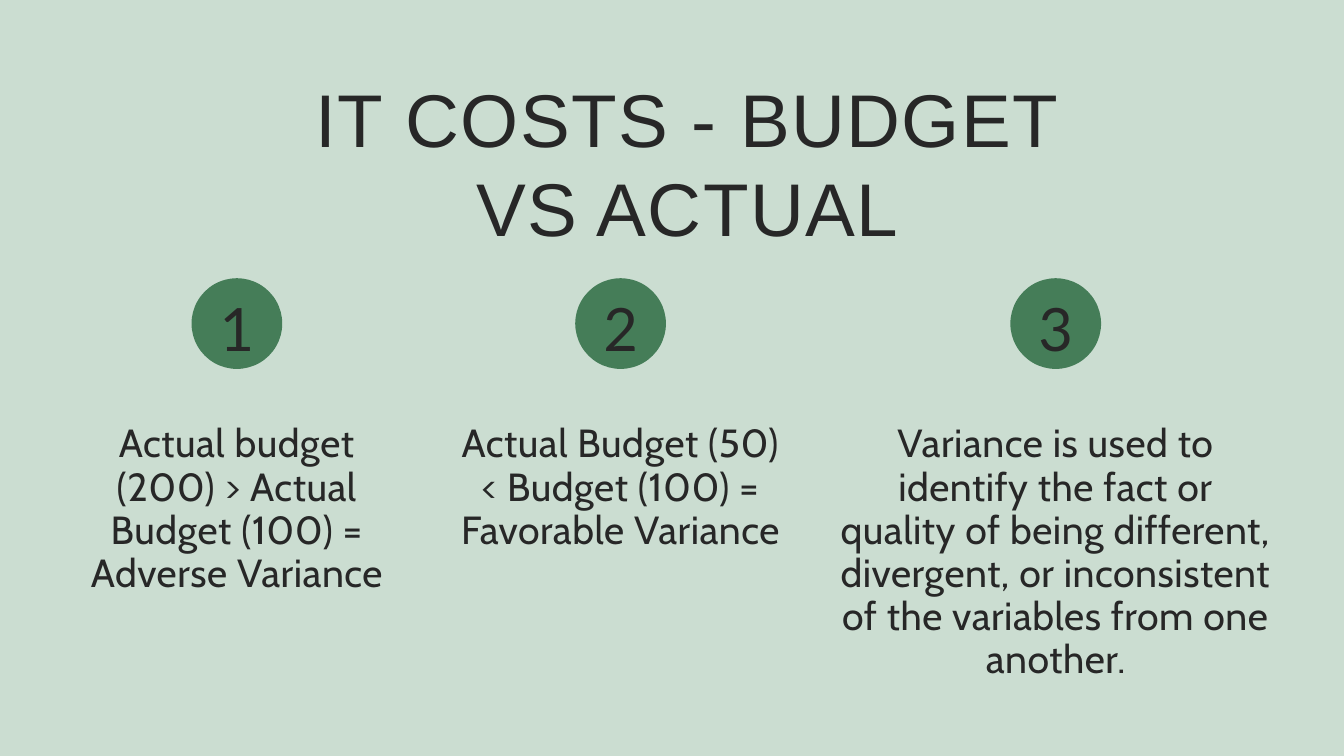
from dataclasses import dataclass
from pptx import Presentation
from pptx import util as u
from pptx.dml.color import RGBColor
from pptx.enum import shapes, text


@dataclass(frozen=True)
class Theme:
    back: str = "CBDDD1"
    badge: str = "457D58"
    ink: str = "272727"
    title = dict(name="Arial", size=80, leading=96, spacing=1.6)
    body = dict(name="Cabin", size=42, leading=46.2, spacing=0.6)
    number = dict(name="Lato", size=64, leading=100.5, spacing=1.3, level=1)


THEME = Theme()
WIDTH, HEIGHT = 20, 11.25
LEFT, GAP = 1.02, 0.7
NUMBER_TOP, BADGE_TOP, BODY_TOP = 4.02, 4.14, 6.29
BADGE = 1.35
COLUMNS = [
    (5.01, 2.56, "Actual budget (200) > Actual Budget (100) = Adverse Variance"),
    (5.01, 2.56, "Actual Budget (50) < Budget (100) = Favorable Variance"),
    (6.54, 4.46, "Variance is used to identify the fact or quality of being different, "
                 "divergent, or inconsistent of the variables from one another."),
]


def set_all(obj, values):
    for key, value in values.items():
        setattr(obj, key, value)


def inches(*lengths):
    return [u.Inches(n) for n in lengths]


def add_text(s, box, words, style):
    tf = s.shapes.add_textbox(*inches(*box)).text_frame
    set_all(tf, dict(margin_left=0, margin_top=0, margin_right=0, margin_bottom=0,
                     word_wrap=True, auto_size=text.MSO_AUTO_SIZE.SHAPE_TO_FIT_TEXT))
    p = tf.paragraphs[0]
    set_all(p, dict(alignment=text.PP_ALIGN.CENTER, level=style.get("level", 0),
                    line_spacing=u.Pt(style["leading"])))
    pPr = p._p.get_or_add_pPr()
    pPr.set("marL", "0")
    pPr.set("indent", "0")
    r = p.add_run()
    r.text = words
    set_all(r.font, dict(name=style["name"], size=u.Pt(style["size"])))
    r.font.color.rgb = RGBColor.from_string(THEME.ink)
    r._r.get_or_add_rPr().set("spc", str(round(style["spacing"] * 100)))


def add_badge(s, center, number):
    left = center - BADGE / 2
    sp = s.shapes.add_shape(shapes.MSO_SHAPE.OVAL, *inches(left, BADGE_TOP, BADGE, BADGE))
    sp.shadow.inherit = False
    sp.fill.solid()
    sp.fill.fore_color.rgb = RGBColor.from_string(THEME.badge)
    sp.line.fill.background()
    add_text(s, (left, NUMBER_TOP, BADGE, 1.32), str(number), THEME.number)


def main():
    prs = Presentation()
    set_all(prs, dict(slide_width=u.Inches(WIDTH), slide_height=u.Inches(HEIGHT)))
    s = prs.slides.add_slide(prs.slide_layouts[6])
    s.background.fill.solid()
    s.background.fill.fore_color.rgb = RGBColor.from_string(THEME.back)
    add_text(s, (4.29, 1.08, 11.88, 1.38), "IT COSTS - BUDGET VS ACTUAL", THEME.title)
    left = LEFT
    for number, (width, height, words) in enumerate(COLUMNS, 1):
        add_text(s, (left, BODY_TOP, width, height), words, THEME.body)
        add_badge(s, left + width / 2, number)
        left += width + GAP
    prs.save("out.pptx")


if __name__ == "__main__":
    main()
